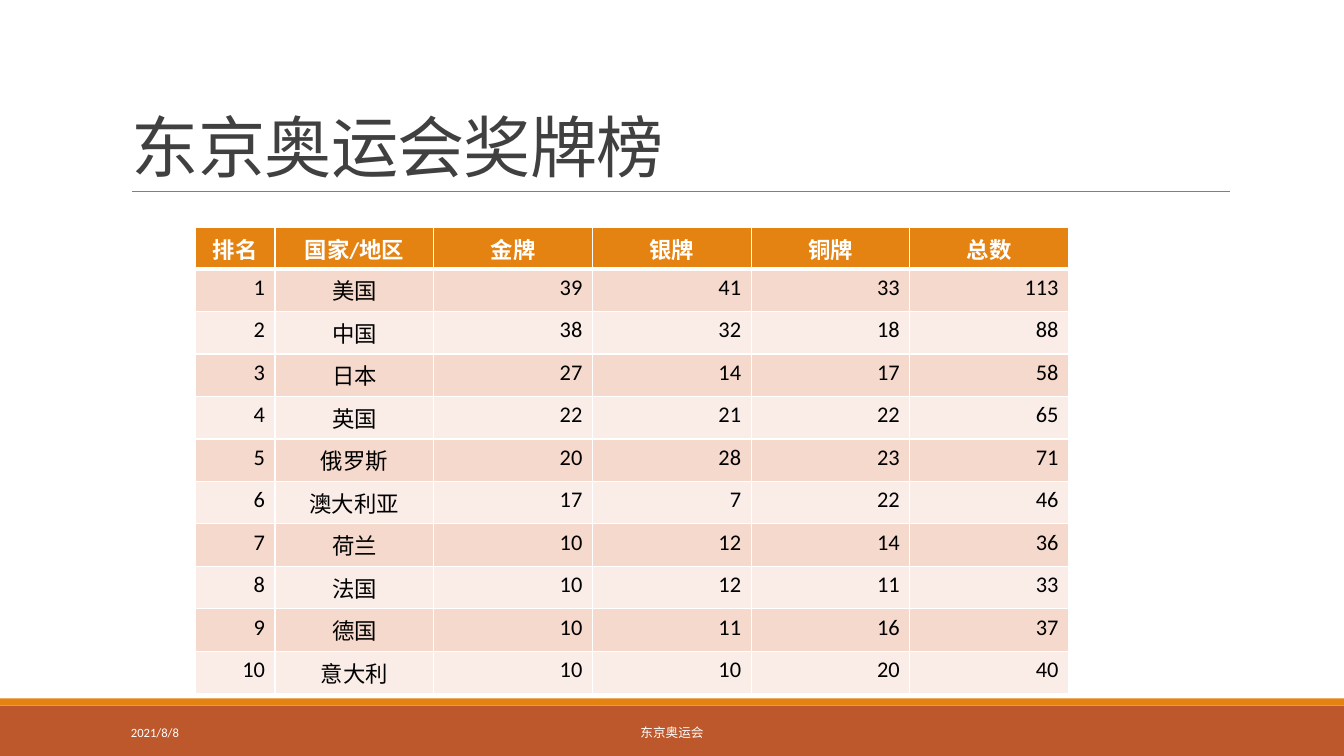
from lxml.etree import SubElement
from pptx import Presentation
from pptx.dml.color import RGBColor
from pptx.enum.shapes import MSO_CONNECTOR, MSO_SHAPE
from pptx.enum.text import MSO_ANCHOR, PP_ALIGN
from pptx.oxml.ns import qn
from pptx.util import Cm, Pt

WHITE = RGBColor(0xFF, 0xFF, 0xFF)
BLACK = RGBColor(0, 0, 0)
INK = RGBColor(0x40, 0x40, 0x40)
GRAY = RGBColor(0x80, 0x80, 0x80)
RUST = RGBColor(0xBD, 0x58, 0x2C)
ORANGE = RGBColor(0xE4, 0x83, 0x12)
BANDS = RGBColor(0xFA, 0xED, 0xE7), RGBColor(0xF5, 0xD9, 0xCC)

HEADER = ["排名", "国家/地区", "金牌", "银牌", "铜牌", "总数"]
MEDALS = [
    ("美国", 39, 41, 33),
    ("中国", 38, 32, 18),
    ("日本", 27, 14, 17),
    ("英国", 22, 21, 22),
    ("俄罗斯", 20, 28, 23),
    ("澳大利亚", 17, 7, 22),
    ("荷兰", 10, 12, 14),
    ("法国", 10, 12, 11),
    ("德国", 10, 11, 16),
    ("意大利", 10, 10, 20),
]


class Deck:
    font = "Calibri"

    def __init__(self, width, height):
        self.prs = Presentation()
        self.prs.slide_width, self.prs.slide_height = Cm(width), Cm(height)
        self.s = self.prs.slides.add_slide(self.prs.slide_layouts[6])

    def bar(self, x, y, w, h, color):
        sp = self.s.shapes.add_shape(MSO_SHAPE.RECTANGLE, Cm(x), Cm(y), Cm(w), Cm(h))
        sp.shadow.inherit = False
        sp.fill.solid()
        sp.fill.fore_color.rgb = color
        sp.line.fill.background()

    def rule(self, x1, x2, y, color, width):
        ln = self.s.shapes.add_connector(MSO_CONNECTOR.STRAIGHT, Cm(x1), Cm(y), Cm(x2), Cm(y))
        ln.line.color.rgb = color
        ln.line.width = Pt(width)
        SubElement(ln._element.spPr, qn("a:effectLst"))

    def style(self, p, size, color, align, bold=False):
        p.alignment = align
        p.font.name = self.font
        p.font.size = Pt(size)
        p.font.bold = bold
        p.font.color.rgb = color

    def text(self, text, x, y, w, h, size, color, align=PP_ALIGN.LEFT, anchor=MSO_ANCHOR.MIDDLE):
        tf = self.s.shapes.add_textbox(Cm(x), Cm(y), Cm(w), Cm(h)).text_frame
        tf.word_wrap = True
        tf.vertical_anchor = anchor
        p = tf.paragraphs[0]
        p.text = text
        self.style(p, size, color, align)
        return p

    def title(self, text, x, y, w, h):
        p = self.text(text, x, y, w, h, 48, INK, anchor=MSO_ANCHOR.BOTTOM)
        p.line_spacing = 0.85
        p.runs[0]._r.get_or_add_rPr().set("spc", "-50")

    def borders(self, cell, top, bottom):
        tcPr = cell._tc.get_or_add_tcPr()
        for side, width in zip("LRTB", (1, 1, top, bottom)):
            ln = SubElement(tcPr, qn(f"a:ln{side}"), w=str(Pt(width)))
            fill = SubElement(ln, qn("a:solidFill"))
            SubElement(fill, qn("a:srgbClr"), val=str(WHITE))

    def table(self, rows, x, y, widths, heights):
        frame = self.s.shapes.add_table(len(rows), len(widths), Cm(x), Cm(y),
                                        Cm(sum(widths)), Cm(sum(heights)))
        tbl = frame.table
        for col, width in zip(tbl.columns, widths):
            col.width = Cm(width)
        for i, (values, height) in enumerate(zip(rows, heights)):
            tbl.rows[i].height = Cm(height)
            head = i == 0
            for j, value in enumerate(values):
                cell = tbl.cell(i, j)
                self.borders(cell, 3 if i == 1 else 1, 3 if head else 1)
                cell.fill.solid()
                cell.fill.fore_color.rgb = ORANGE if head else BANDS[i % 2]
                p = cell.text_frame.paragraphs[0]
                p.text = str(value)
                align = PP_ALIGN.CENTER if head or j == 1 else PP_ALIGN.RIGHT
                self.style(p, 16, WHITE if head else BLACK, align, head)


def main():
    deck = Deck(33.87, 19.05)
    deck.bar(0, 17.78, 33.87, 1.27, RUST)
    deck.bar(0, 17.6, 33.87, 0.18, ORANGE)
    deck.rule(3.33, 31, 4.83, GRAY, 0.5)
    deck.title("东京奥运会奖牌榜", 3.07, 0.79, 27.94, 4.04)
    deck.text("2021/8/8", 3.05, 17.94, 6.86, 1.02, 9, WHITE)
    deck.text("东京奥运会", 10.24, 17.94, 13.39, 1.02, 9, WHITE, PP_ALIGN.CENTER)
    ranking = [(rank, country, *medals, sum(medals))
               for rank, (country, *medals) in enumerate(MEDALS, 1)]
    deck.table([HEADER] + ranking, 4.93, 5.74, [2] + [4] * 5, [1.04] + [1.07] * 10)
    deck.prs.save("out.pptx")


if __name__ == "__main__":
    main()
